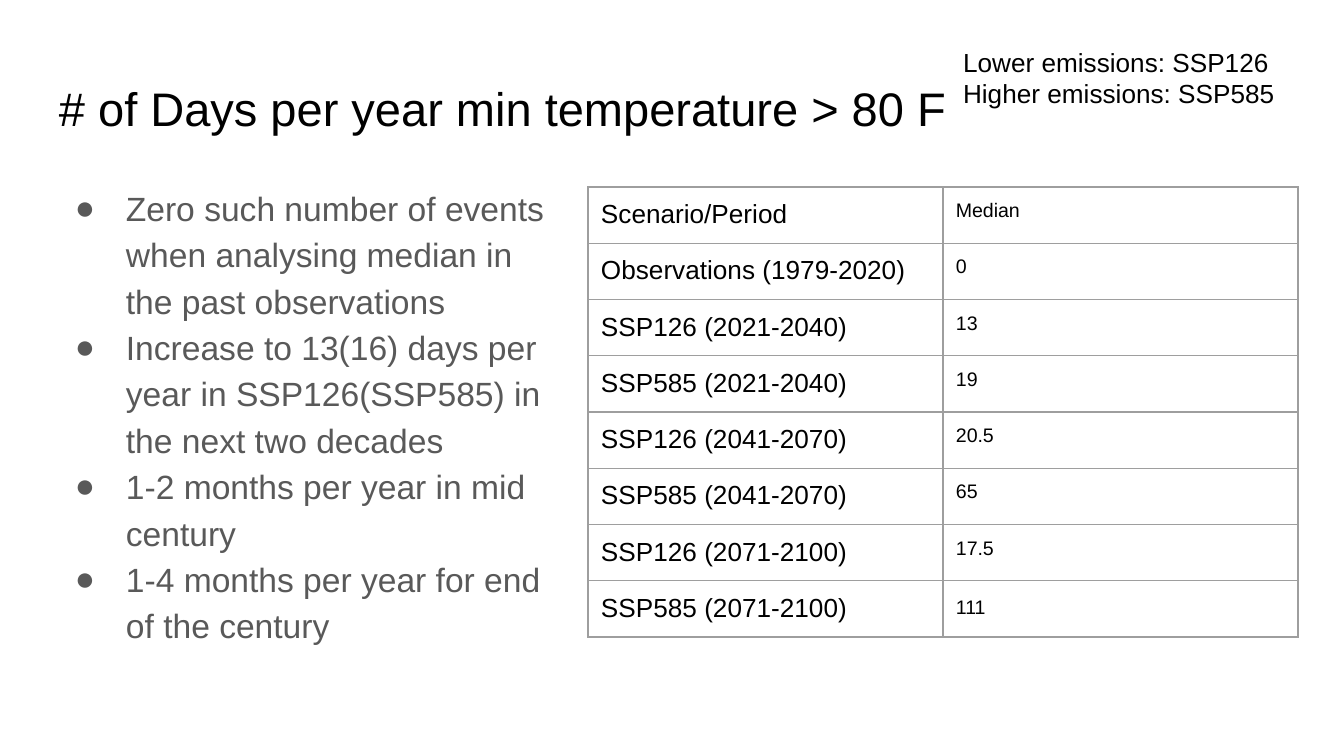
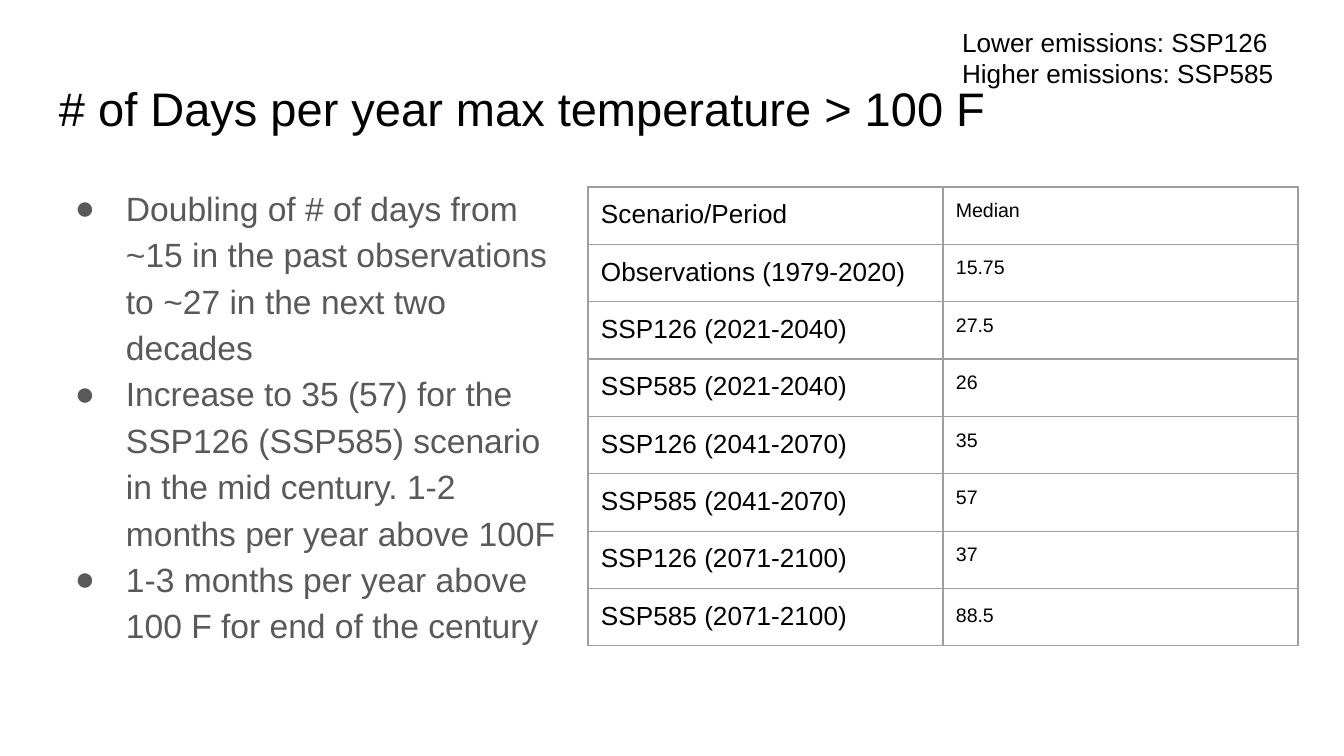
"""Build two slides on the yearly number of hot days under two emission scenarios."""
from lxml.etree import SubElement
from pptx import Presentation
from pptx.dml.color import RGBColor
from pptx.enum.text import MSO_ANCHOR as Anchor, PP_ALIGN as Align
from pptx.oxml import parse_xml
from pptx.oxml.ns import nsdecls, qn
from pptx.util import Emu, Pt

SLIDES = [
    {
        "title": "# of Days per year min temperature > 80 F",
        "bullets": [
            "Zero such number of events when analysing median in the past observations",
            "Increase to 13(16) days per year in SSP126(SSP585) in the next two decades",
            "1-2 months per year in mid century",
            "1-4 months per year for end of the century",
        ],
        "medians": ["0", "13", "19", "20.5", "65", "17.5", "111"],
        "legend_box": (950, 33, 406, 90),
    },
    {
        "title": "# of Days per year max temperature > 100 F",
        "bullets": [
            "Doubling of # of days from ~15 in the past observations to ~27 in the next two decades",
            "Increase to 35 (57) for the SSP126 (SSP585) scenario in the mid century. "
            "1-2 months per year above 100F",
            "1-3 months per year above 100 F for end of the century",
        ],
        "medians": ["15.75", "27.5", "26", "35", "57", "37", "88.5"],
        "legend_box": (949, 13, 406, 90),
    },
]
HEADER = ("Scenario/Period", "Median")
PERIODS = ["2021-2040", "2041-2070", "2071-2100"]
SCENARIOS = ["SSP126", "SSP585"]
ROW_LABELS = ["Observations (1979-2020)"] + [
    f"{scenario} ({period})" for period in PERIODS for scenario in SCENARIOS
]
LEGEND = ["Lower emissions: SSP126", "Higher emissions: SSP585"]

SLIDE_SIZE = (1344, 756)
TITLE_BOX = (46, 65, 1253, 84)
BODY_BOX = (46, 169, 527, 503)
TABLE_BOX = (588, 187, 710, 450)
INSET, BULLET_INDENT, BULLET_HANG = 13, 67, 51

FONT = "Arial"
BLACK, GRAY, BORDER = "000000", "595959", "9E9E9E"
TITLE_STYLE = {"size": 25.2, "color": BLACK}
BODY_STYLE = {"size": 18, "color": GRAY, "line_spacing": 1.15}
LEGEND_STYLE = {"size": 14, "color": BLACK}
COLUMN_STYLES = [
    {"size": size, "color": BLACK, "alignment": Align.JUSTIFY} for size in (14, 10.5)
]


def px(length):
    return Emu(round(length * 914400 / 134.4))


def rgb(value):
    return RGBColor.from_string(value)


def set_all(target, values):
    for name, value in values.items():
        setattr(target, name, value)


def margins():
    sides = ("left", "top", "right", "bottom")
    return {f"margin_{side}": px(INSET) for side in sides}


def write(paragraph, text, size, color, **paragraph_format):
    set_all(paragraph, paragraph_format)
    run = paragraph.add_run()
    run.text = text
    set_all(run.font, {"name": FONT, "size": Pt(size)})
    run.font.color.rgb = rgb(color)


def add_bullet(paragraph):
    properties = paragraph._p.get_or_add_pPr()
    properties.set("marL", str(px(BULLET_INDENT)))
    properties.set("indent", str(-px(BULLET_HANG)))
    color = SubElement(properties, qn("a:buClr"))
    SubElement(color, qn("a:srgbClr"), val=GRAY)
    SubElement(properties, qn("a:buFont"), typeface=FONT)
    SubElement(properties, qn("a:buChar"), char="●")


def add_text(slide, box, lines, style, anchor=Anchor.TOP, bulleted=False):
    frame = slide.shapes.add_textbox(*map(px, box)).text_frame
    set_all(frame, {"word_wrap": True, "vertical_anchor": anchor, **margins()})
    for index, line in enumerate(lines):
        paragraph = frame.add_paragraph() if index else frame.paragraphs[0]
        write(paragraph, line, **style)
        if bulleted:
            add_bullet(paragraph)


def add_borders(cell):
    properties = cell._tc.get_or_add_tcPr()
    for index, side in enumerate("LRTB"):
        properties.insert(index, parse_xml(
            f'<a:ln{side} {nsdecls("a")} w="{Pt(0.75)}"><a:solidFill>'
            f'<a:srgbClr val="{BORDER}"/></a:solidFill></a:ln{side}>'
        ))


def add_table(slide, medians):
    rows = [HEADER, *zip(ROW_LABELS, medians)]
    frame = slide.shapes.add_table(len(rows), len(HEADER), *map(px, TABLE_BOX))
    table = frame.table
    set_all(table, {"first_row": False, "horz_banding": False})
    for row_index, row in enumerate(rows):
        for column_index, text in enumerate(row):
            cell = table.cell(row_index, column_index)
            set_all(cell, margins())
            cell.fill.background()
            add_borders(cell)
            write(cell.text_frame.paragraphs[0], text, **COLUMN_STYLES[column_index])
    table.cell(len(rows) - 1, 1).text_frame.paragraphs[0].line_spacing = 1.15


def main():
    presentation = Presentation()
    width, height = map(px, SLIDE_SIZE)
    set_all(presentation, {"slide_width": width, "slide_height": height})
    for content in SLIDES:
        slide = presentation.slides.add_slide(presentation.slide_layouts[6])
        add_table(slide, content["medians"])
        add_text(slide, TITLE_BOX, [content["title"]], TITLE_STYLE, Anchor.BOTTOM)
        add_text(slide, BODY_BOX, content["bullets"], BODY_STYLE, bulleted=True)
        add_text(slide, content["legend_box"], LEGEND, LEGEND_STYLE)
    presentation.save("out.pptx")


if __name__ == "__main__":
    main()
